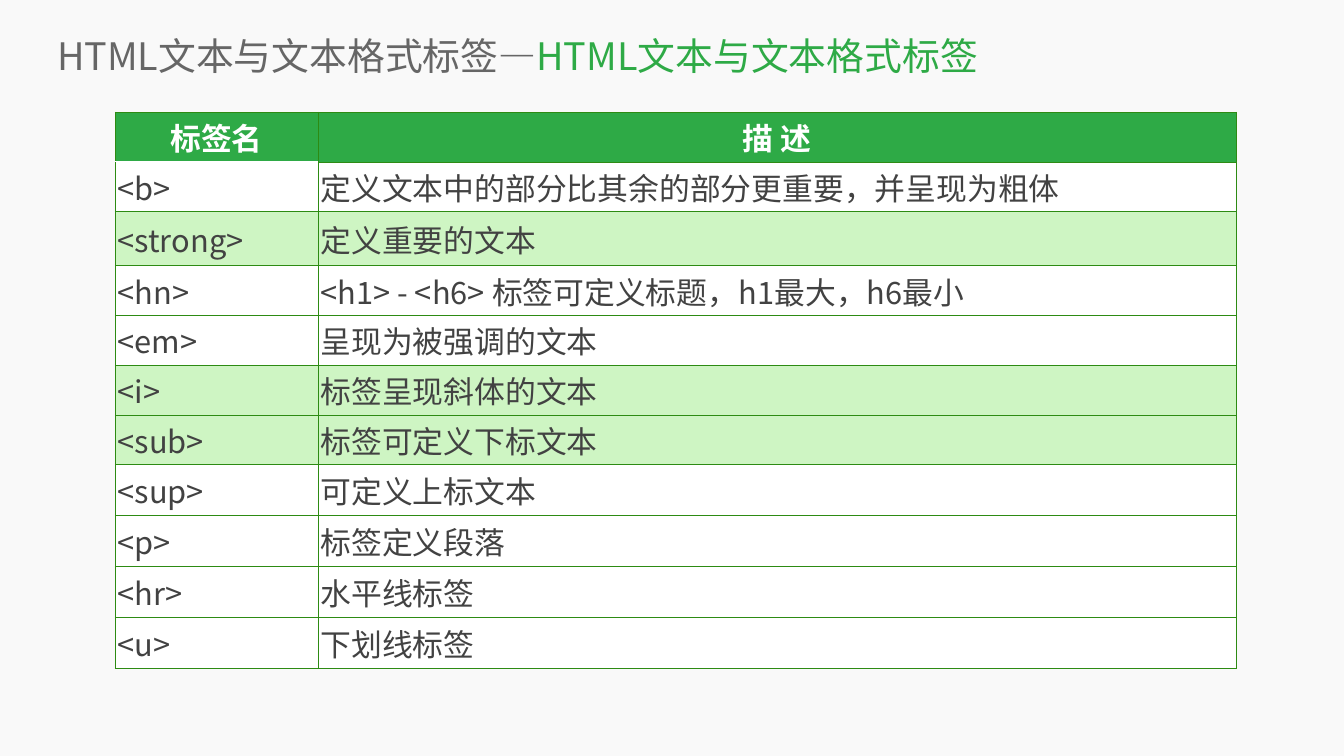
"""Build a slide with a table of HTML text formatting tags."""
from lxml.etree import SubElement
from pptx import Presentation
from pptx.dml.color import RGBColor
from pptx.enum.text import MSO_ANCHOR as Anchor, MSO_AUTO_SIZE as AutoSize, PP_ALIGN as Align
from pptx.oxml.ns import qn
from pptx.util import Pt

PX = 914400 / 50.4
FONT = "Noto Sans CJK SC"
GREEN, PALE, WHITE = "2EAA46", "CEF5C3", "FFFFFF"
GREY, DARK, BORDER = "666666", "424242", "2D8B13"

TITLE = [("HTML文本与文本格式标签—", GREY), ("HTML文本与文本格式标签", GREEN)]
ROWS = [
    ("标签名", "描 述", 48, GREEN),
    ("<b>", "定义文本中的部分比其余的部分更重要，并呈现为粗体", 50, WHITE),
    ("<strong>", "定义重要的文本", 54, PALE),
    ("<hn>", "<h1> - <h6> 标签可定义标题，h1最大，h6最小", 48, WHITE),
    ("<em>", "呈现为被强调的文本", 48, WHITE),
    ("<i>", "标签呈现斜体的文本", 48, PALE),
    ("<sub>", "标签可定义下标文本", 48, PALE),
    ("<sup>", "可定义上标文本", 51, WHITE),
    ("<p>", "标签定义段落", 51, WHITE),
    ("<hr>", "水平线标签", 51, WHITE),
    ("<u>", "下划线标签", 51, WHITE),
]
COLUMNS = [203, 918]
TABLE_LEFT, TABLE_TOP = 115, 112
INDENT = 19


def px(length):
    return round(length * PX)


def rgb(code):
    return RGBColor.from_string(code)


def add_text(para, text, size=44, color=DARK, bold=False, align=Align.LEFT):
    para.alignment = align
    span = para.add_run()
    span.text = text
    font = span.font
    font.size, font.bold, font.name = Pt(size), bold, FONT
    font.color.rgb = rgb(color)
    SubElement(font._element, qn("a:ea"), typeface=FONT)


def add_border(cell, side, color=BORDER, width=0.75):
    line = SubElement(cell._tc.get_or_add_tcPr(), qn(f"a:ln{side}"), w=str(Pt(width)))
    SubElement(SubElement(line, qn("a:solidFill")), qn("a:srgbClr"), val=color)


def format_cell(cell, text, fill, header, white_side):
    for side in "LRTB":
        if side == white_side:
            add_border(cell, side, WHITE, 1)
        else:
            add_border(cell, side)
    cell.fill.solid()
    cell.fill.fore_color.rgb = rgb(fill)
    cell.vertical_anchor = Anchor.MIDDLE
    cell.margin_left = cell.margin_right = cell.margin_top = cell.margin_bottom = Pt(3.6)
    para = cell.text_frame.paragraphs[0]
    add_text(para, text, color=WHITE if header else DARK, bold=header,
             align=Align.CENTER if header else Align.LEFT)
    properties = para._p.get_or_add_pPr()
    properties.set("marL", str(px(INDENT)))
    properties.set("indent", str(-px(INDENT)))


def add_title(page):
    title = page.shapes.title
    title.left, title.top, title.width, title.height = map(px, (57, 24, 1268, 62))
    frame = title.text_frame
    frame.auto_size, frame.word_wrap = AutoSize.NONE, True
    frame.vertical_anchor = Anchor.MIDDLE
    frame.margin_left = frame.margin_right = frame.margin_top = frame.margin_bottom = 0
    for text, color in TITLE:
        add_text(frame.paragraphs[0], text, size=54, color=color)


def add_tag_table(page):
    height = sum(row[2] for row in ROWS)
    table = page.shapes.add_table(
        len(ROWS), len(COLUMNS), px(TABLE_LEFT), px(TABLE_TOP), px(sum(COLUMNS)), px(height)
    ).table
    for column, width in zip(table.columns, COLUMNS):
        column.width = px(width)
    for index, (tag, description, row_height, fill) in enumerate(ROWS):
        table.rows[index].height = px(row_height)
        white_side = {0: "B", 1: "T"}.get(index)
        format_cell(table.cell(index, 0), tag, fill, index == 0, white_side)
        format_cell(table.cell(index, 1), description, fill, index == 0, None)


def main():
    deck = Presentation()
    deck.slide_width, deck.slide_height = px(1344), px(756)
    page = deck.slides.add_slide(deck.slide_layouts[5])
    page.background.fill.solid()
    page.background.fill.fore_color.rgb = rgb("F9F9F9")
    add_title(page)
    add_tag_table(page)
    deck.save("out.pptx")


if __name__ == "__main__":
    main()
